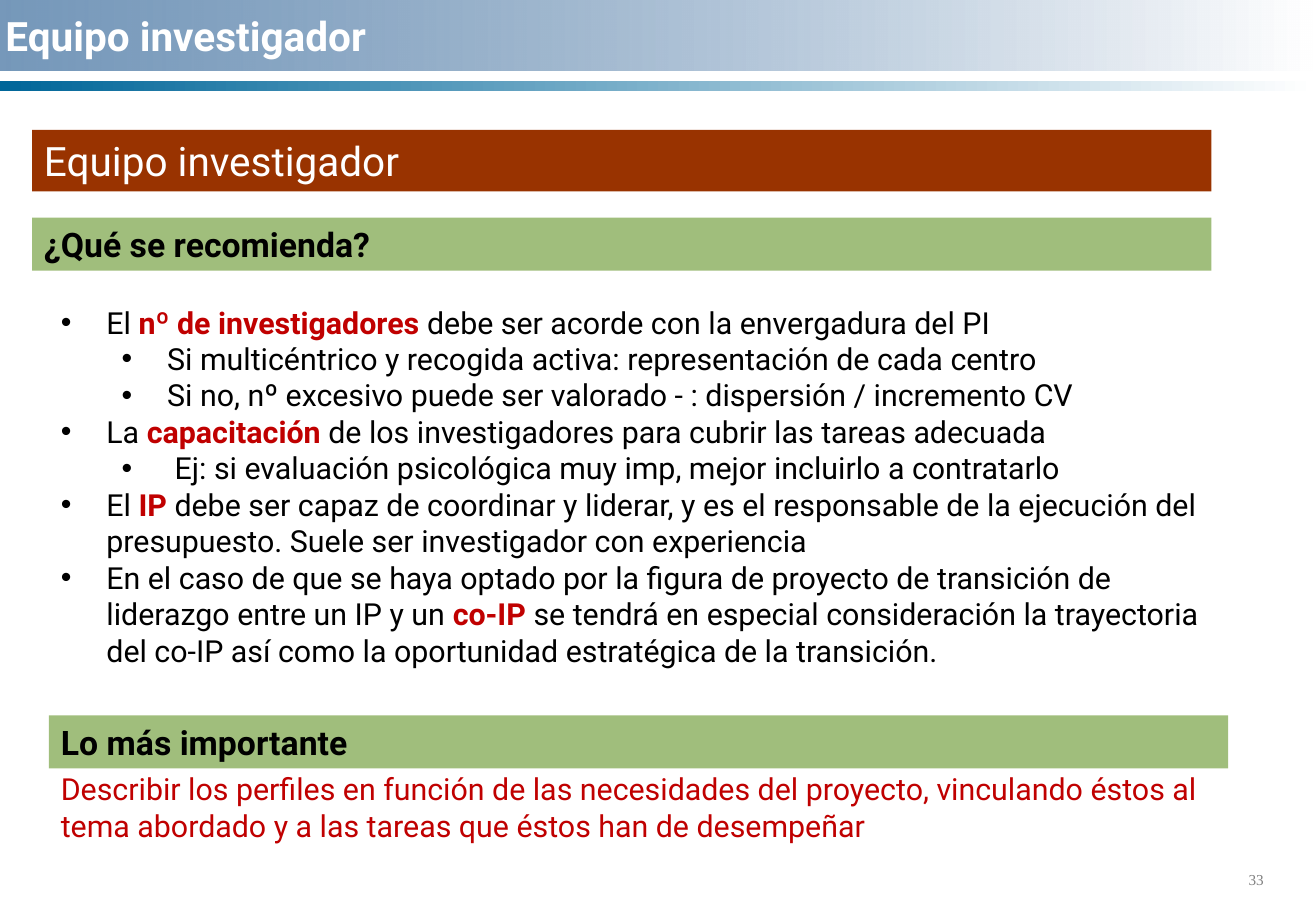
from lxml import etree
from pptx import Presentation
from pptx import util as u
from pptx.dml import color
from pptx.enum import shapes, text
from pptx.oxml import ns

Pt = u.Pt
FONT = "Roboto"
BLACK, WHITE, RED, GREEN, BROWN = "000000", "FFFFFF", "C00000", "A0BE7C", "993300"

BULLETS = [
    (0, [("El ", False), ("nº de investigadores ", True),
         ("debe ser acorde con la envergadura del PI", False)]),
    (1, [("Si multicéntrico y recogida activa: representación de cada centro", False)]),
    (1, [("Si no, nº excesivo puede ser valorado - : dispersión / incremento CV", False)]),
    (0, [("La ", False), ("capacitación", True),
         (" de los investigadores para cubrir las tareas adecuada", False)]),
    (1, [(" Ej: si evaluación psicológica muy imp, mejor incluirlo a contratarlo", False)]),
    (0, [("El ", False), ("IP", True),
         (" debe ser capaz de coordinar y liderar, y es el responsable de la ejecución "
          "del presupuesto. Suele ser investigador con experiencia", False)]),
    (0, [("En el caso de que se haya optado por la figura de proyecto de transición de "
          "liderazgo entre un IP y un ", False), ("co-IP", True),
         (" se tendrá en especial consideración la trayectoria del co-IP así como la "
          "oportunidad estratégica de la transición.", False)]),
]


def rgb(value):
    """Return the colour for a hex string."""
    return color.RGBColor.from_string(value)


def add_run(p, words, size, hex_color, bold=False, font=FONT):
    """Add one formatted run to a paragraph."""
    r = p.add_run()
    r.text = words
    r.font.name = font
    r.font.size = Pt(size)
    r.font.bold = bold
    r.font.color.rgb = rgb(hex_color)


def add_rect(s, x, y, w, h):
    """Add a rectangle without line or shadow."""
    sp = s.shapes.add_shape(shapes.MSO_SHAPE.RECTANGLE, Pt(x), Pt(y), Pt(w), Pt(h))
    sp.shadow.inherit = False
    sp.line.fill.background()
    return sp


def add_gradient_band(s, x, y, w, h, start, alpha=100):
    """Add a band behind the title that fades to white towards the right."""
    sp = add_rect(s, x, y, w, h)
    sp.fill.gradient()
    sp.fill.gradient_angle = 0
    for stop, value in zip(sp.fill.gradient_stops, (start, WHITE)):
        stop.color.rgb = rgb(value)
    if alpha < 100:
        clr = sp.element.spPr.find(".//" + ns.qn("a:srgbClr"))
        etree.SubElement(clr, ns.qn("a:alpha"), val=str(alpha * 1000))
    s.shapes.title.element.addprevious(sp.element)


def add_heading(s, x, y, h, words, size, fill, hex_color, bold):
    """Add a solid heading bar with left-aligned text."""
    sp = add_rect(s, x, y, 699, h)
    sp.fill.solid()
    sp.fill.fore_color.rgb = rgb(fill)
    tf = sp.text_frame
    tf.word_wrap = True
    tf.vertical_anchor = text.MSO_ANCHOR.TOP
    p = tf.paragraphs[0]
    p.alignment = text.PP_ALIGN.LEFT
    add_run(p, words, size, hex_color, bold)


def add_text(s, x, y, w, h):
    """Add a wrapping text box and return its text frame."""
    tf = s.shapes.add_textbox(Pt(x), Pt(y), Pt(w), Pt(h)).text_frame
    tf.word_wrap = True
    return tf


def set_bullet(p, level):
    """Give a paragraph a round bullet and the hanging indent of its level."""
    p.level = level
    pPr = p._p.get_or_add_pPr()
    pPr.set("marL", str(Pt(27 + 36 * level)))
    pPr.set("indent", str(-Pt(27)))
    etree.SubElement(pPr, ns.qn("a:buFont"), typeface="Arial")
    etree.SubElement(pPr, ns.qn("a:buChar"), char="•")


def add_bullets(s, x, y, w, h, items):
    """Add the bulleted list with its highlighted words."""
    tf = add_text(s, x, y, w, h)
    for i, (level, runs) in enumerate(items):
        p = tf.add_paragraph() if i else tf.paragraphs[0]
        set_bullet(p, level)
        for words, key in runs:
            add_run(p, words, 18, RED if key else BLACK, key)


def set_title(s, words):
    """Place and format the slide title."""
    sp = s.shapes.title
    sp.left, sp.top, sp.width, sp.height = Pt(-4), Pt(0), Pt(710), Pt(42)
    tf = sp.text_frame
    tf.auto_size = text.MSO_AUTO_SIZE.NONE
    tf.vertical_anchor = text.MSO_ANCHOR.MIDDLE
    p = tf.paragraphs[0]
    p.alignment = text.PP_ALIGN.LEFT
    add_run(p, words, 24, WHITE, True)


def main():
    """Build the slide and save it."""
    prs = Presentation()
    prs.slide_width, prs.slide_height = Pt(780), Pt(540)
    s = prs.slides.add_slide(prs.slide_layouts[5])
    set_title(s, "Equipo investigador")
    add_gradient_band(s, -1, 0, 779, 42, "336699", 67)
    add_gradient_band(s, 0, 48, 780, 6, "006699")
    add_heading(s, 19, 77, 36.5, "Equipo investigador", 24, BROWN, WHITE, False)
    add_heading(s, 19, 129, 31.5, "¿Qué se recomienda?", 20, GREEN, BLACK, True)
    add_bullets(s, 29, 176.5, 712, 225, BULLETS)
    add_heading(s, 29, 424, 31.5, "Lo más importante", 20, GREEN, BLACK, True)
    tf = add_text(s, 29, 453, 717, 51)
    add_run(tf.paragraphs[0], "Describir los perfiles en función de las necesidades del "
            "proyecto, vinculando éstos al tema abordado y a las tareas que éstos han "
            "de desempeñar", 18, RED)
    tf = add_text(s, 733, 512.5, 46, 18)
    add_run(tf.paragraphs[0], "33", 9, "808080", font="Times New Roman")
    prs.save("out.pptx")


if __name__ == "__main__":
    main()
